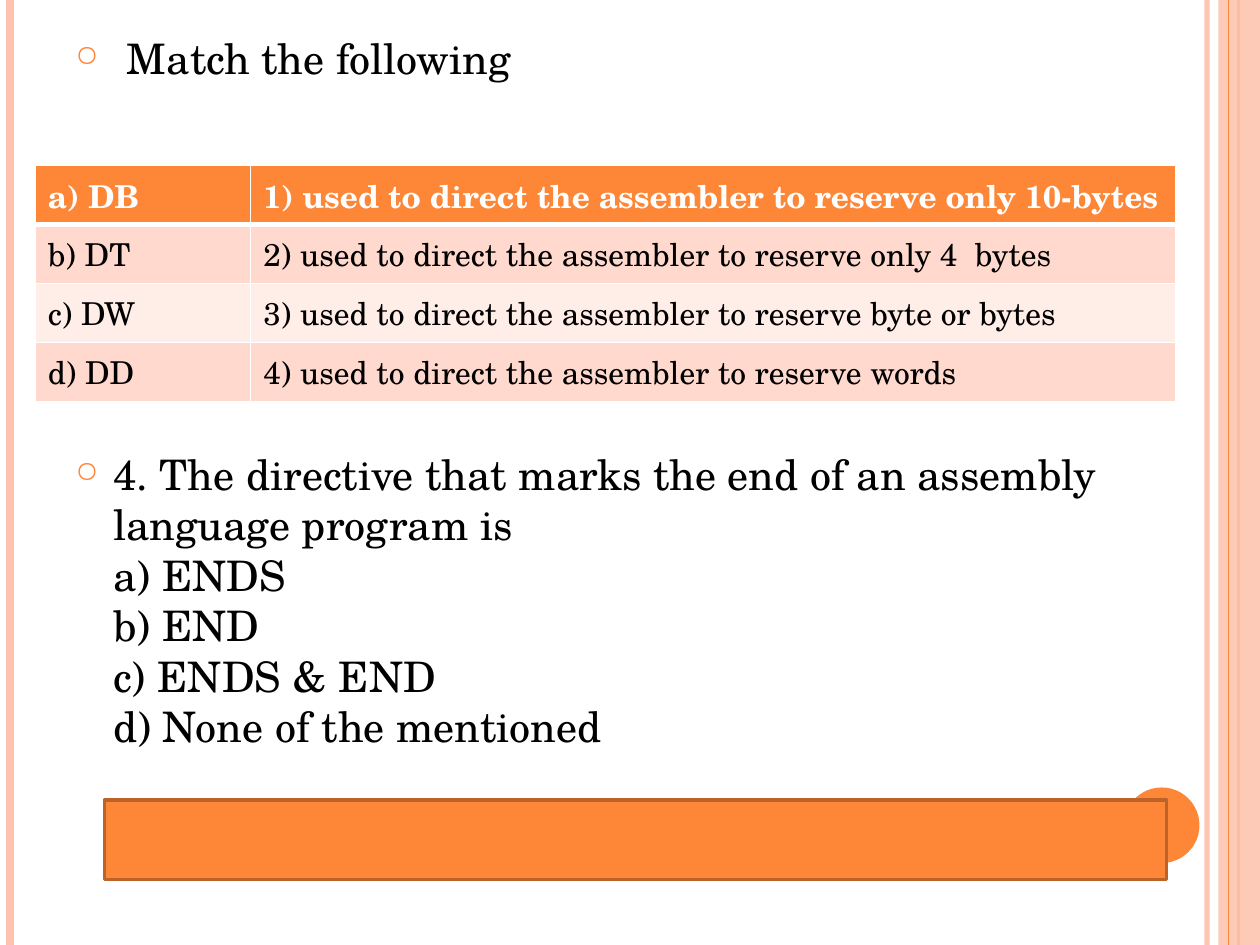
import pptx
import pptx.util
import pptx.dml.color
import pptx.enum.shapes
import pptx.enum.text
import pptx.oxml.ns
import lxml.etree

Inches = pptx.util.Inches
Pt = pptx.util.Pt
qn = pptx.oxml.ns.qn
SHAPE = pptx.enum.shapes.MSO_SHAPE
FONT = "TeX Gyre Schola"
COLORS = {
    "orange": "FE8637", "peach": "FEC3AE", "brown": "BC6329",
    "band": "FFD9CE", "pale": "FFEDE8", "white": "FFFFFF", "black": "000000",
}


def rgb(name):
    return pptx.dml.color.RGBColor.from_string(COLORS[name])


def add_xml(parent, tag, **attributes):
    return lxml.etree.SubElement(parent, qn(tag), attributes)


deck = pptx.Presentation()
deck.slide_width, deck.slide_height = Inches(10), Inches(7.5)
slide = deck.slides.add_slide(deck.slide_layouts[6])
shapes = slide.shapes

# Vertical stripes, side band and circle; the band lies between the lines
decorations = [
    ("line", 9.58, "peach", 3, 93),
    ("line", 0.08, "peach", 4.5, 100),
    ("line", 9.83, "orange", 1.5, 100),
    (SHAPE.RECTANGLE, (9.67, 0, 0.33, 7.5), "peach", 0, 87),
    ("line", 9.75, "orange", 0.75, 100),
    (SHAPE.OVAL, (8.92, 6.25, 0.6, 0.6), "orange", 0, 100),
    (SHAPE.RECTANGLE, (0.83, 6.35, 8.43, 0.63), "orange", 2, 100),
]
answer_cover = decorations.pop()


def add_decoration(kind, place, color, width, opacity):
    if kind == "line":
        part = shapes.add_connector(
            pptx.enum.shapes.MSO_CONNECTOR.STRAIGHT,
            Inches(place), 0, Inches(place), Inches(7.5))
        part.line.width = Pt(width)
        paint = part.line.fill
        paint.solid()
        add_xml(part._element.spPr, "a:effectLst")
    else:
        part = shapes.add_shape(kind, *map(Inches, place))
        part.shadow.inherit = False
        paint = part.fill
        paint.solid()
        if width:
            part.line.color.rgb = rgb("brown")
            part.line.width = Pt(width)
        else:
            part.line.fill.background()
    paint.fore_color.rgb = rgb(color)
    if opacity < 100:
        swatch = next(part._element.spPr.iter(qn("a:srgbClr")))
        add_xml(swatch, "a:alpha", val=str(opacity * 1000))


for decoration in decorations:
    add_decoration(*decoration)

# Bulleted heading and question: top, height, indent, lines
questions = [
    (0.21, 0.6, 0.41, ["Match the following"]),
    (3.51, 2.6, 0.3, [
        "4. The directive that marks the end of an assembly language program is",
        "a) ENDS", "b) END", "c) ENDS & END", "d) None of the mentioned"]),
]
for top, height, indent, lines in questions:
    question = shapes.add_textbox(Inches(0.5), Inches(top), Inches(9.07), Inches(height))
    question.text_frame.word_wrap = True
    paragraph = question.text_frame.paragraphs[0]
    paragraph.space_before = Pt(6)
    for number, line in enumerate(lines):
        if number:
            paragraph.add_line_break()
        run = paragraph.add_run()
        run.text = line
        run.font.name, run.font.size = FONT, Pt(24)
        run.font.color.rgb = rgb("black")
    # The line breaks take the size of the text around them
    paragraph.font.size = Pt(24)
    for line_break in paragraph._p.findall(qn("a:br")):
        add_xml(line_break, "a:rPr", sz="2400")
    properties = paragraph._p.get_or_add_pPr()
    properties.set("marL", str(Inches(indent)))
    properties.set("indent", str(-Inches(indent)))
    bullet = [add_xml(lxml.etree.Element("bullet"), "a:buClr"),
              add_xml(lxml.etree.Element("bullet"), "a:buSzPct", val="70000"),
              add_xml(lxml.etree.Element("bullet"), "a:buChar", char="○")]
    add_xml(bullet[0], "a:srgbClr", val=COLORS["orange"])
    spacing = properties.find(qn("a:spcBef"))
    for element in reversed(bullet):
        spacing.addnext(element)

# Matching table
matches = [
    ("a) DB", "1) used to direct the assembler to reserve only 10-bytes"),
    ("b) DT", "2) used to direct the assembler to reserve only 4  bytes"),
    ("c) DW", "3) used to direct the assembler to reserve byte or bytes"),
    ("d) DD", "4) used to direct the assembler to reserve words"),
]
row_fills = ["orange", "band", "pale", "band"]
table = shapes.add_table(4, 2, Inches(0.28), Inches(1.31), Inches(9.05), Inches(1.88)).table
table.columns[0].width, table.columns[1].width = Inches(1.71), Inches(7.34)
for r, match in enumerate(matches):
    table.rows[r].height = Inches(0.47)
    for c, text in enumerate(match):
        cell = table.cell(r, c)
        cell.vertical_anchor = pptx.enum.text.MSO_ANCHOR.TOP
        run = cell.text_frame.paragraphs[0].add_run()
        run.text = text
        run.font.name, run.font.size, run.font.bold = FONT, Pt(18), r == 0
        run.font.color.rgb = rgb("black" if r else "white")
        # Borders come before the fill; the header has a thicker lower edge
        cell_properties = cell._tc.get_or_add_tcPr()
        for side in "LRTB":
            thick = (side == "B" and r == 0) or (side == "T" and r == 1)
            border = add_xml(cell_properties, "a:ln" + side, w=str(Pt(3 if thick else 1)))
            add_xml(add_xml(border, "a:solidFill"), "a:srgbClr", val=COLORS["white"])
        cell.fill.solid()
        cell.fill.fore_color.rgb = rgb(row_fills[r])

# Box over the answer
add_decoration(*answer_cover)

deck.save("out.pptx")
